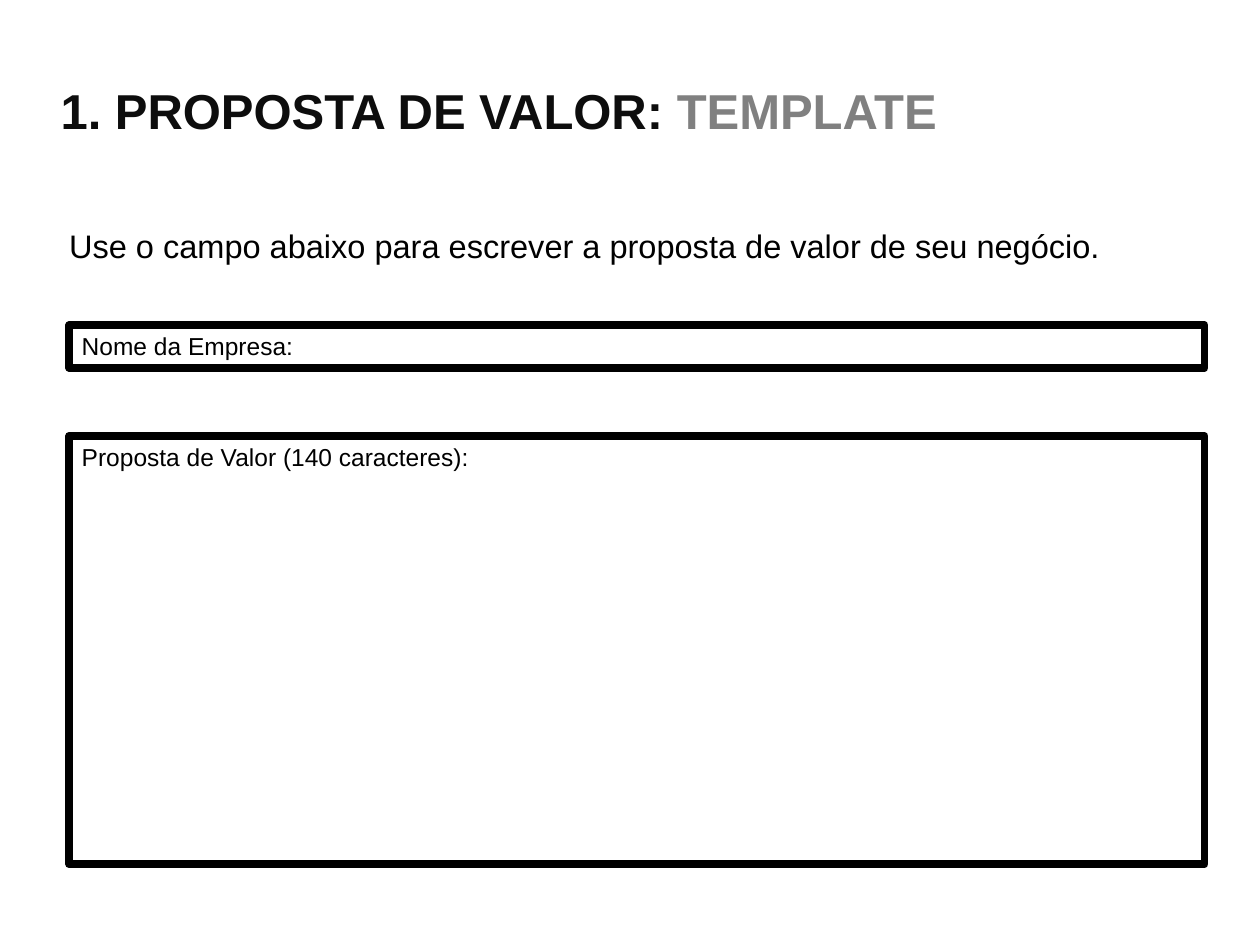
"""Build the value proposition template slide."""
from dataclasses import dataclass

from lxml import etree
from pptx import Presentation
from pptx import util as u
from pptx.dml.color import RGBColor
from pptx.enum import shapes, text
from pptx.oxml import ns

HUES = {"ink": "000000", "head": "0D0D0D", "mute": "808080"}
FONT = "Arial"
LEFT, WIDTH = 39.6, 648.7


@dataclass
class Field:
    label: str
    top: float
    height: float


FIELDS = [
    Field("Nome da Empresa:", 185.8, 24.5),
    Field("Proposta de Valor (140 caracteres):", 249.1, 244.8),
]


def place(shape, left: float, top: float, width: float, height: float) -> None:
    shape.left, shape.top = u.Pt(left), u.Pt(top)
    shape.width, shape.height = u.Pt(width), u.Pt(height)


def write(shape, runs: list[tuple[str, str]], size: float, bold: bool = False):
    frame = shape.text_frame
    frame.word_wrap = True
    frame.auto_size = text.MSO_AUTO_SIZE.NONE
    frame.vertical_anchor = text.MSO_ANCHOR.TOP
    para = frame.paragraphs[0]
    para.alignment = text.PP_ALIGN.LEFT
    for words, hue in runs:
        run = para.add_run()
        run.text = words
        font = run.font
        font.name, font.size, font.bold = FONT, u.Pt(size), bold
        font.color.rgb = RGBColor.from_string(HUES[hue])
    return para


def draw(slide, field: Field) -> None:
    box = slide.shapes.add_shape(shapes.MSO_SHAPE.RECTANGLE, 0, 0, 0, 0)
    place(box, LEFT, field.top, WIDTH, field.height)
    box.shadow.inherit = False
    box.fill.background()
    box.line.color.rgb = RGBColor.from_string(HUES["ink"])
    box.line.width = u.Pt(4.5)
    etree.SubElement(box.line._ln, ns.qn("a:round"))
    write(box, [(field.label, "ink")], 14)


def main() -> None:
    deck = Presentation()
    deck.slide_width, deck.slide_height = u.Pt(720), u.Pt(540)
    slide = deck.slides.add_slide(deck.slide_layouts[5])

    title = slide.shapes.title
    place(title, 27.4, 42.5, 601.2, 51.8)
    runs = [("1. PROPOSTA DE VALOR: ", "head"), ("TEMPLATE", "mute")]
    write(title, runs, 28, True)

    intro = slide.shapes.add_textbox(0, 0, 0, 0)
    place(intro, 32.4, 129.6, 614.9, 43.9)
    words = "Use o campo abaixo para escrever a proposta de valor de seu negócio."
    write(intro, [(words, "ink")], 18.6).line_spacing = 0.8

    for field in FIELDS:
        draw(slide, field)
    deck.save("out.pptx")


if __name__ == "__main__":
    main()
